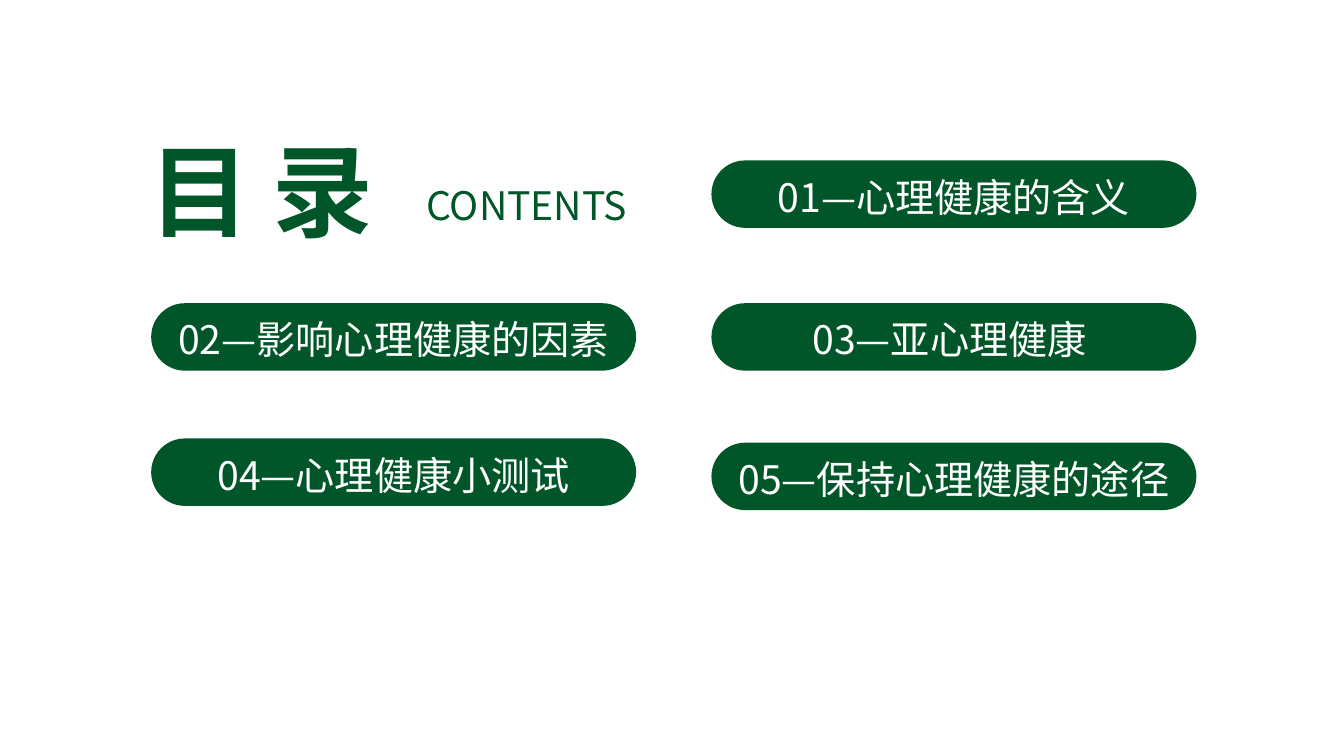
"""Build the contents slide of a talk on mental health."""
from lxml.etree import SubElement
from pptx import Presentation
from pptx.dml.color import RGBColor
from pptx.enum.shapes import MSO_SHAPE
from pptx.enum.text import MSO_ANCHOR, PP_ALIGN
from pptx.oxml.ns import qn
from pptx.util import Pt

COLORS = {"green": "005628", "white": "FFFFFF"}
FONT = "Noto Sans CJK SC"


def write(frame, text, size=28, color="green", bold=False,
          align=PP_ALIGN.CENTER, spacing=1.5, anchor=MSO_ANCHOR.TOP):
    frame.word_wrap = True
    frame.vertical_anchor = anchor
    paragraph = frame.paragraphs[0]
    paragraph.alignment = align
    paragraph.line_spacing = spacing
    run = paragraph.add_run()
    run.text = text
    run.font.size = Pt(size)
    run.font.bold = bold
    run.font.color.rgb = RGBColor.from_string(COLORS[color])
    run.font.name = FONT
    SubElement(run.font._element, qn("a:ea"), typeface=FONT)


deck = Presentation()
deck.slide_width, deck.slide_height = Pt(960), Pt(540)
slide = deck.slides.add_slide(deck.slide_layouts[6])

heading = slide.shapes.add_textbox(Pt(77), Pt(45.4), Pt(219.6), Pt(134.6))
write(heading.text_frame, "目 录", size=72, bold=True)

subheading = slide.shapes.add_textbox(Pt(297.4), Pt(109.4), Pt(219.6), Pt(56.9))
write(subheading.text_frame, "CONTENTS", align=PP_ALIGN.LEFT)

LEFT, RIGHT = 108, 508.2
chapters = [
    ("01—心理健康的含义", RIGHT, 114.6),
    ("02—影响心理健康的因素", LEFT, 216.6),
    ("03—亚心理健康 ", RIGHT, 216.6),
    ("04—心理健康小测试", LEFT, 313.2),
    ("05—保持心理健康的途径", RIGHT, 316.2),
]
for title, left, top in chapters:
    pill = slide.shapes.add_shape(
        MSO_SHAPE.ROUNDED_RECTANGLE, Pt(left), Pt(top), Pt(346.4), Pt(48.2))
    pill.adjustments[0] = 0.5
    pill.shadow.inherit = False
    pill.fill.solid()
    pill.fill.fore_color.rgb = RGBColor.from_string(COLORS["green"])
    pill.line.fill.background()
    pill.text_frame.margin_left = pill.text_frame.margin_right = Pt(0)
    write(pill.text_frame, title, color="white", spacing=1.1,
          anchor=MSO_ANCHOR.MIDDLE)

deck.save("out.pptx")
